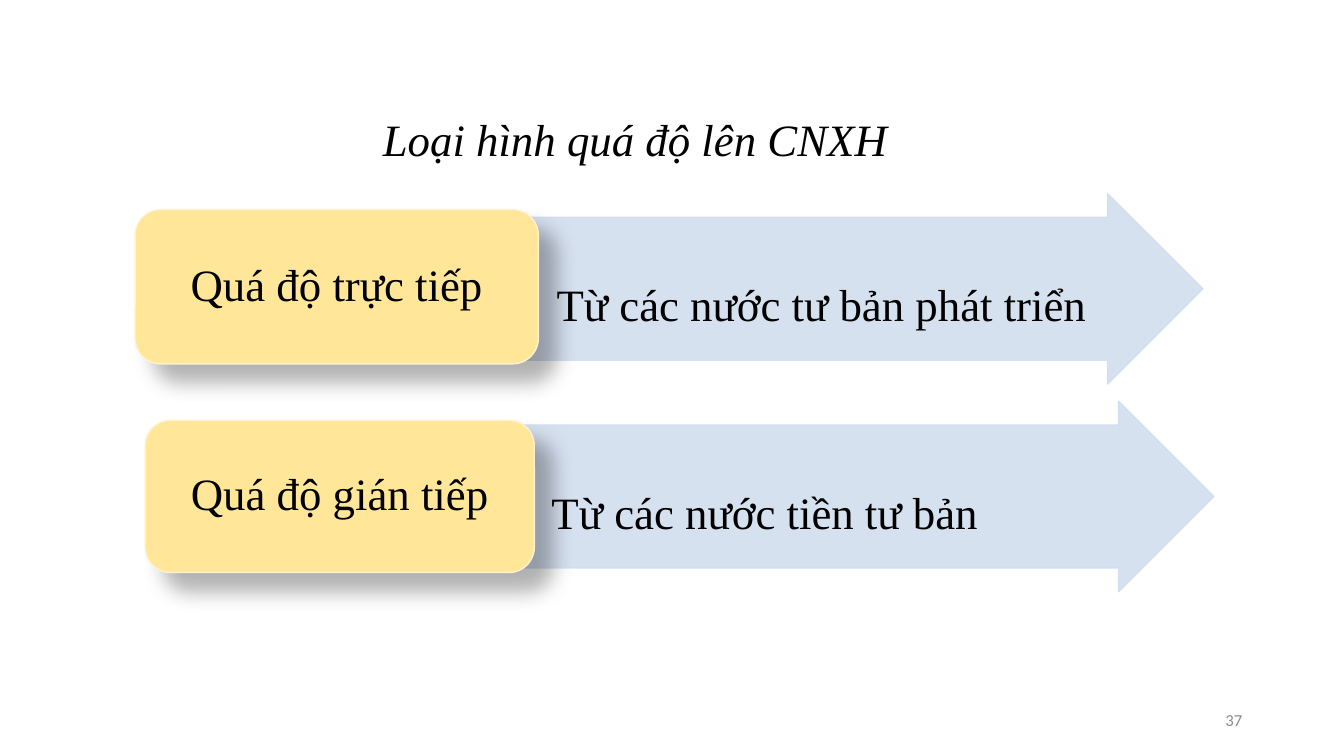
from lxml.etree import SubElement
from pptx import Presentation
from pptx.dml.color import RGBColor
from pptx.enum.shapes import MSO_SHAPE as Shape
from pptx.enum.text import MSO_ANCHOR as Anchor, PP_ALIGN as Align
from pptx.oxml import parse_xml
from pptx.oxml.ns import nsdecls, qn
from pptx.util import Inches, Pt

COLORS = {"text": "000000", "number": "8C8C8C", "arrow": "D2DEEF",
          "label": "FFE699", "label_line": "FFF2CC"}
BODY = {"name": "Times New Roman", "size": Pt(32)}

# Each row: label, its box, description, its arrow box (left, top, width, height)
ROWS = [
    ("Quá độ trực tiếp", (1.34, 2.08, 4, 1.53),
     "Từ các nước tư bản phát triển", (5.19, 1.92, 6.74, 1.89)),
    ("Quá độ gián tiếp", (1.44, 4.17, 3.86, 1.51),
     "Từ các nước tiền tư bản", (5.14, 3.98, 6.9, 1.89)),
]


def rgb(name):
    return RGBColor.from_string(COLORS[name])


def write(frame, text, margins, align, anchor, color="text", bullet=False, **font):
    frame.word_wrap = True
    frame.vertical_anchor = anchor
    for side, margin in zip(("left", "top", "right", "bottom"), margins):
        setattr(frame, f"margin_{side}", Inches(margin))
    paragraph = frame.paragraphs[0]
    paragraph.text = text
    paragraph.alignment = align
    paragraph.line_spacing = 0.9 if frame.vertical_anchor != Anchor.BOTTOM else 1.0
    if bullet:
        props = paragraph._p.get_or_add_pPr()
        props.set("marL", str(Inches(0.31)))
        props.set("indent", str(-Inches(0.31)))
        SubElement(props, qn("a:buChar"), char="•")
    for key, value in font.items():
        setattr(paragraph.font, key, value)
    paragraph.font.color.rgb = rgb(color)


def add_panel(slide, kind, box, fill, line):
    panel = slide.shapes.add_shape(kind, *map(Inches, box))
    panel.shadow.inherit = False
    panel.fill.solid()
    panel.fill.fore_color.rgb = rgb(fill)
    panel.line.color.rgb = rgb(line)
    panel.line.width = Pt(1)
    return panel


def add_arrow(slide, box, text):
    arrow = add_panel(slide, Shape.RIGHT_ARROW, box, "arrow", "arrow")
    arrow.adjustments[0] = 0.75
    arrow.adjustments[1] = 0.5
    for color in arrow._element.spPr.iter(qn("a:srgbClr")):
        SubElement(color, qn("a:alpha"), val="90000")
    write(arrow.text_frame, text, (0.02, 0.65, 0.02, 0.02), Align.LEFT, Anchor.TOP,
          bullet=True, **BODY)


def add_label(slide, box, text):
    label = add_panel(slide, Shape.ROUNDED_RECTANGLE, box, "label", "label_line")
    effects = label._element.spPr.find(qn("a:effectLst"))
    effects.append(parse_xml(
        f'<a:outerShdw {nsdecls("a")} blurRad="{Pt(15)}" dist="{Pt(18)}" dir="2700000"'
        ' algn="tl" rotWithShape="0"><a:srgbClr val="000000"><a:alpha val="30000"/>'
        '</a:srgbClr></a:outerShdw>'))
    write(label.text_frame, text, (0.13, 0.07, 0.13, 0.07), Align.CENTER,
          Anchor.MIDDLE, **BODY)


def add_caption(slide, box, text, align, **style):
    caption = slide.shapes.add_textbox(*map(Inches, box))
    write(caption.text_frame, text, (0.1, 0.05, 0.1, 0.05), align, Anchor.BOTTOM, **style)


def build_transition_slide(prs):
    slide = prs.slides.add_slide(prs.slide_layouts[6])
    # Heading
    add_caption(slide, (1.06, 1.08, 10.48, 0.61), "Loại hình quá độ lên CNXH",
                Align.CENTER, italic=True, **BODY)
    # Slide number
    add_caption(slide, (9.42, 6.99, 3, 0.3), "37", Align.RIGHT,
                color="number", name="Calibri", size=Pt(12))
    # Each label overlaps the tail of its arrow
    for label, label_box, description, arrow_box in ROWS:
        add_arrow(slide, arrow_box, description)
        add_label(slide, label_box, label)


def main():
    prs = Presentation()
    prs.slide_width, prs.slide_height = Inches(13.33), Inches(7.5)
    build_transition_slide(prs)
    prs.save("out.pptx")


if __name__ == "__main__":
    main()
